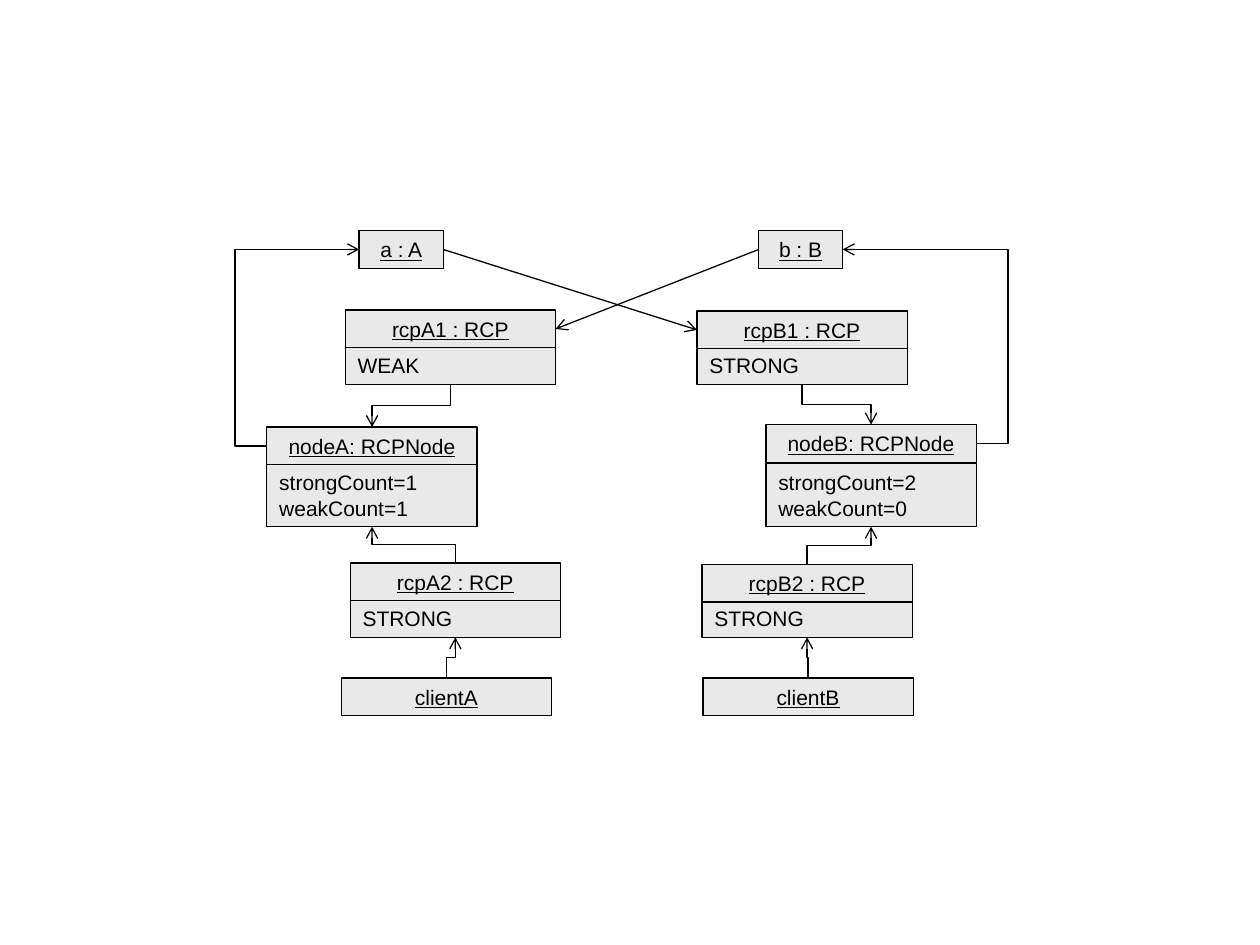
"""Object diagram of two nodes that refer to each other through counted pointers."""
from dataclasses import dataclass
from math import copysign

from pptx import Presentation
from pptx.dml.color import RGBColor
from pptx.enum.shapes import MSO_CONNECTOR as Route, MSO_SHAPE as Preset
from pptx.enum.text import MSO_ANCHOR as Anchor, MSO_AUTO_SIZE as AutoSize, PP_ALIGN as Align
from pptx.oxml.ns import qn
from pptx.util import Cm, Pt
from lxml.etree import SubElement


@dataclass(frozen=True)
class Theme:
    fill: RGBColor = RGBColor(0xE9, 0xE9, 0xE9)
    ink: RGBColor = RGBColor(0, 0, 0)
    font: str = "Arial"
    text_size: Pt = Pt(12)
    line_width: Pt = Pt(0.75)


LEFT, RIGHT, TOP, BOTTOM = (0, 0.5), (1, 0.5), (0.5, 0), (0.5, 1)
ROW, DOUBLE_ROW = 0.76, 1.27
WIDE, NARROW = 4.24, 1.7
LOOP = 0.64


def site(shape, side):
    across, down = side
    return shape.left + shape.width * across, shape.top + shape.height * down


class Diagram:
    def __init__(self, slide, theme):
        self.slide = slide
        self.theme = theme

    def box(self, left, top, width, height, lines, title=True):
        shape = self.slide.shapes.add_shape(
            Preset.RECTANGLE, Cm(left), Cm(top), Cm(width), Cm(height))
        shape.shadow.inherit = False
        shape.fill.solid()
        shape.fill.fore_color.rgb = self.theme.fill
        self.stroke(shape.line)
        frame = shape.text_frame
        frame.word_wrap = True
        frame.auto_size = AutoSize.SHAPE_TO_FIT_TEXT
        frame.vertical_anchor = Anchor.TOP
        for index, line in enumerate(lines):
            paragraph = frame.add_paragraph() if index else frame.paragraphs[0]
            paragraph.alignment = Align.CENTER if title else Align.LEFT
            run = paragraph.add_run()
            run.text = line
            run.font.name = self.theme.font
            run.font.size = self.theme.text_size
            run.font.color.rgb = self.theme.ink
            run.font.underline = title
        return shape

    def record(self, left, top, body_top, title, fields):
        height = ROW if len(fields) == 1 else DOUBLE_ROW
        body = self.box(left, body_top, WIDE, height, fields, title=False)
        return self.box(left, top, WIDE, ROW, [title]), body

    def stroke(self, line):
        line.color.rgb = self.theme.ink
        line.width = self.theme.line_width

    def arrow(self, start, end, route=Route.STRAIGHT):
        points = [round(value) for value in (*start, *end)]
        connector = self.slide.shapes.add_connector(route, *points)
        self.stroke(connector.line)
        properties = connector._element.spPr
        SubElement(connector.line._get_or_add_ln(), qn("a:tailEnd"), type="arrow")
        SubElement(properties, qn("a:effectLst"))
        return properties

    def side_loop(self, start, end):
        properties = self.arrow(start, end, Route.ELBOW)
        bend = round(-Cm(LOOP) / abs(end[0] - start[0]) * 100000)
        guides = properties.find(qn("a:prstGeom")).find(qn("a:avLst"))
        SubElement(guides, qn("a:gd"), name="adj1", fmla=f"val {bend}")

    def vertical_step(self, start, end):
        run, rise = end[0] - start[0], end[1] - start[1]
        middle = (start[0] + end[0]) / 2, (start[1] + end[1]) / 2
        half = copysign(rise, -run) / 2, copysign(run, rise) / 2
        properties = self.arrow(
            (middle[0] - half[0], middle[1] - half[1]),
            (middle[0] + half[0], middle[1] + half[1]), Route.ELBOW)
        degrees = 90 if run * rise < 0 else 270
        properties.find(qn("a:xfrm")).set("rot", str(degrees * 60000))


def draw_half(diagram, name, lefts, tops, state, counts):
    object_left, first_left, node_left, second_left, client_left = lefts
    first_top, node_top, second_top = tops
    target = diagram.box(object_left, 4.65, NARROW, ROW, [f"{name.lower()} : {name}"])
    first, first_body = diagram.record(
        first_left, first_top, 6.99, f"rcp{name}1 : RCP", [state])
    node, node_body = diagram.record(
        node_left, node_top, 9.35, f"node{name}: RCPNode",
        [f"{kind}Count={count}" for kind, count in zip(("strong", "weak"), counts)])
    second, second_body = diagram.record(
        second_left, second_top, 12.09, f"rcp{name}2 : RCP", ["STRONG"])
    client = diagram.box(client_left, 13.67, WIDE, ROW, [f"client{name}"])
    diagram.vertical_step(site(first_body, BOTTOM), site(node, TOP))
    diagram.vertical_step(site(second, TOP), site(node_body, BOTTOM))
    diagram.vertical_step(site(client, TOP), site(second_body, BOTTOM))
    return target, first, node


def main():
    presentation = Presentation()
    presentation.slide_width, presentation.slide_height = Cm(25.4), Cm(19.05)
    slide = presentation.slides.add_slide(presentation.slide_layouts[6])
    diagram = Diagram(slide, Theme())
    a, pointer_a, node_a = draw_half(
        diagram, "A", (7.24, 6.96, 5.38, 7.06, 6.88), (6.25, 8.61, 11.35), "WEAK", (1, 1))
    b, pointer_b, node_b = draw_half(
        diagram, "B", (15.29, 14.05, 15.44, 14.15, 14.17), (6.27, 8.56, 11.38), "STRONG", (2, 0))
    diagram.side_loop(site(node_a, LEFT), site(a, LEFT))
    diagram.side_loop(site(node_b, RIGHT), site(b, RIGHT))
    diagram.arrow(site(a, RIGHT), site(pointer_b, LEFT))
    diagram.arrow(site(b, LEFT), site(pointer_a, RIGHT))
    presentation.save("out.pptx")


if __name__ == "__main__":
    main()
